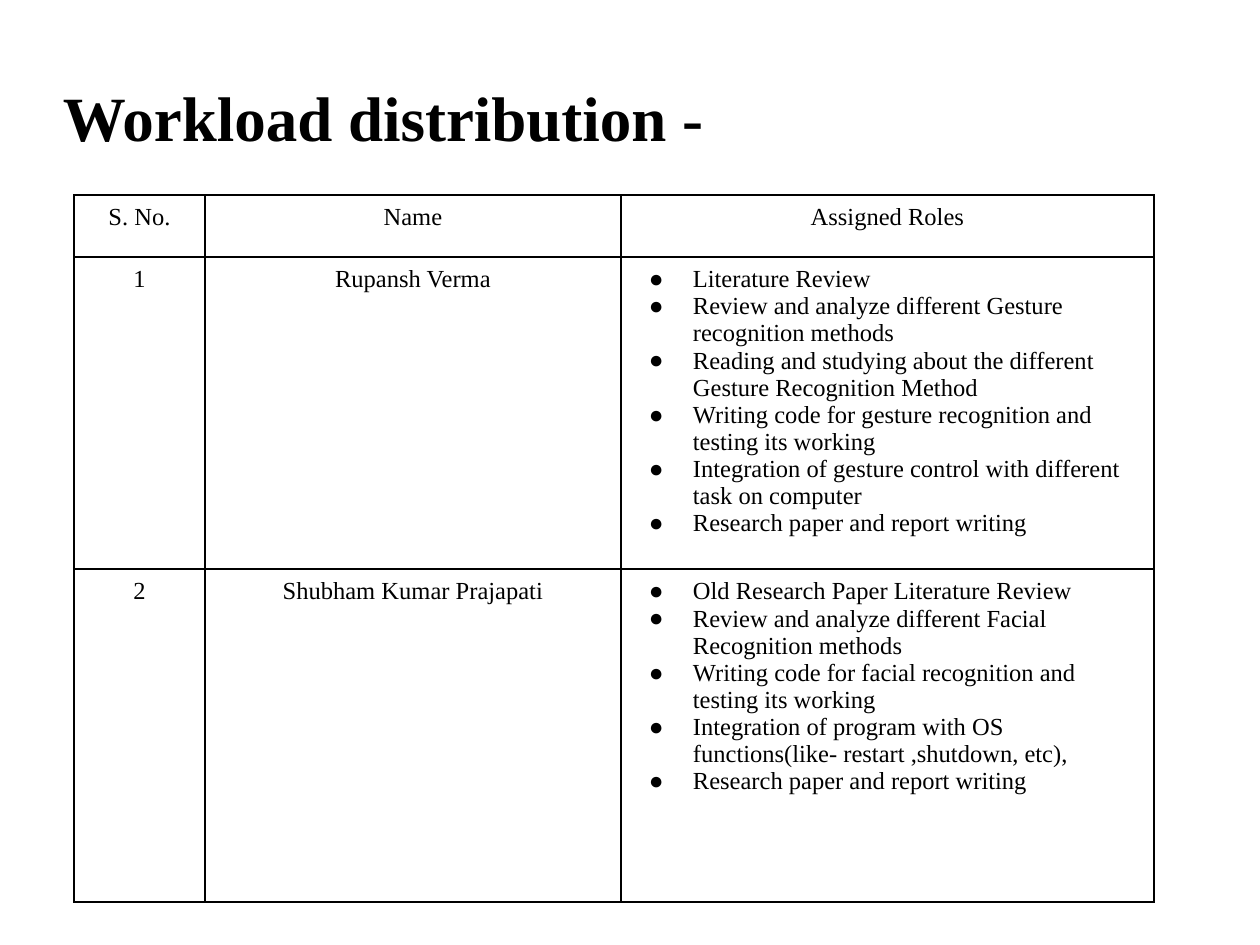
"""Build the workload distribution slide with its table of assigned roles."""
from dataclasses import dataclass

from lxml.etree import SubElement
from pptx import Presentation
from pptx.dml.color import RGBColor
from pptx.enum.text import MSO_ANCHOR, PP_ALIGN
from pptx.oxml import parse_xml
from pptx.oxml.ns import nsdecls, qn
from pptx.util import Emu, Pt

EMU_PER_PX = 914400 / 126
FONT = "Times New Roman"
COLORS = {"ink": "000000", "paper": "FFFFFF"}
COLUMN_WIDTHS = (131, 416, 533)
ROW_HEIGHTS = (62, 288, 333)
CELL_MARGIN = 9
BULLET_LEFT, BULLET_HANG = 63, 44
HEADINGS = ("S. No.", "Name", "Assigned Roles")


@dataclass(frozen=True)
class Member:
    name: str
    roles: tuple[str, ...]


MEMBERS = (
    Member("Rupansh Verma", (
        "Literature Review",
        "Review and analyze different Gesture recognition methods",
        "Reading and studying about the different Gesture Recognition Method",
        "Writing code for gesture recognition and testing its working",
        "Integration of gesture control with different task on computer",
        "Research paper and report writing",
    )),
    Member("Shubham Kumar Prajapati", (
        "Old Research Paper Literature Review",
        "Review and analyze different Facial Recognition methods",
        "Writing code for facial recognition and testing its working",
        "Integration of program with OS functions(like- restart ,shutdown, etc),",
        "Research paper and report writing",
    )),
)


def px(length: int) -> Emu:
    return Emu(round(length * EMU_PER_PX))


def set_font(para, size: int, bold: bool = False) -> None:
    para.font.name = FONT
    para.font.size = Pt(size)
    para.font.bold = bold
    para.font.color.rgb = RGBColor.from_string(COLORS["ink"])


def add_bullet(para) -> None:
    properties = para._p.get_or_add_pPr()
    properties.set("marL", str(px(BULLET_LEFT)))
    properties.set("indent", str(-px(BULLET_HANG)))
    color = SubElement(properties, qn("a:buClr"))
    SubElement(color, qn("a:srgbClr"), val=COLORS["ink"])
    SubElement(properties, qn("a:buFont"), typeface=FONT)
    SubElement(properties, qn("a:buChar"), char="●")


def add_borders(cell) -> None:
    properties = cell._tc.get_or_add_tcPr()
    for position, side in enumerate(("lnL", "lnR", "lnT", "lnB")):
        properties.insert(position, parse_xml(
            f'<a:{side} {nsdecls("a")} w="{Pt(1)}"><a:solidFill>'
            f'<a:srgbClr val="{COLORS["ink"]}"/></a:solidFill></a:{side}>'))


def fill_cell(cell, lines: tuple[str, ...], bulleted: bool) -> None:
    cell.margin_left = cell.margin_right = px(CELL_MARGIN)
    cell.margin_top = cell.margin_bottom = px(CELL_MARGIN)
    cell.fill.background()
    add_borders(cell)
    cell.text_frame.text = "\n".join(lines)
    for para in cell.text_frame.paragraphs:
        if bulleted:
            add_bullet(para)
        else:
            para.alignment = PP_ALIGN.CENTER
        set_font(para, 14)


def add_title(page, text: str) -> None:
    box = page.shapes.add_textbox(px(63), px(38), px(1134), px(157))
    frame = box.text_frame
    frame.word_wrap = True
    frame.vertical_anchor = MSO_ANCHOR.MIDDLE
    frame.margin_left = frame.margin_right = 0
    frame.margin_top = frame.margin_bottom = 0
    frame.text = text
    set_font(frame.paragraphs[0], 36, bold=True)


def add_workload_table(page) -> None:
    table = page.shapes.add_table(
        len(ROW_HEIGHTS), len(COLUMN_WIDTHS), px(74), px(195),
        px(sum(COLUMN_WIDTHS)), px(sum(ROW_HEIGHTS))).table
    table.first_row = table.horz_banding = False
    for column, width in zip(table.columns, COLUMN_WIDTHS):
        column.width = px(width)
    for row, height in zip(table.rows, ROW_HEIGHTS):
        row.height = px(height)
    for index, heading in enumerate(HEADINGS):
        fill_cell(table.cell(0, index), (heading,), False)
    for number, member in enumerate(MEMBERS, start=1):
        fill_cell(table.cell(number, 0), (str(number),), False)
        fill_cell(table.cell(number, 1), (member.name,), False)
        fill_cell(table.cell(number, 2), member.roles, True)


def main() -> None:
    deck = Presentation()
    deck.slide_width, deck.slide_height = px(1260), px(945)
    page = deck.slides.add_slide(deck.slide_layouts[6])
    page.background.fill.solid()
    page.background.fill.fore_color.rgb = RGBColor.from_string(COLORS["paper"])
    add_title(page, "Workload distribution -")
    add_workload_table(page)
    deck.save("out.pptx")


if __name__ == "__main__":
    main()
